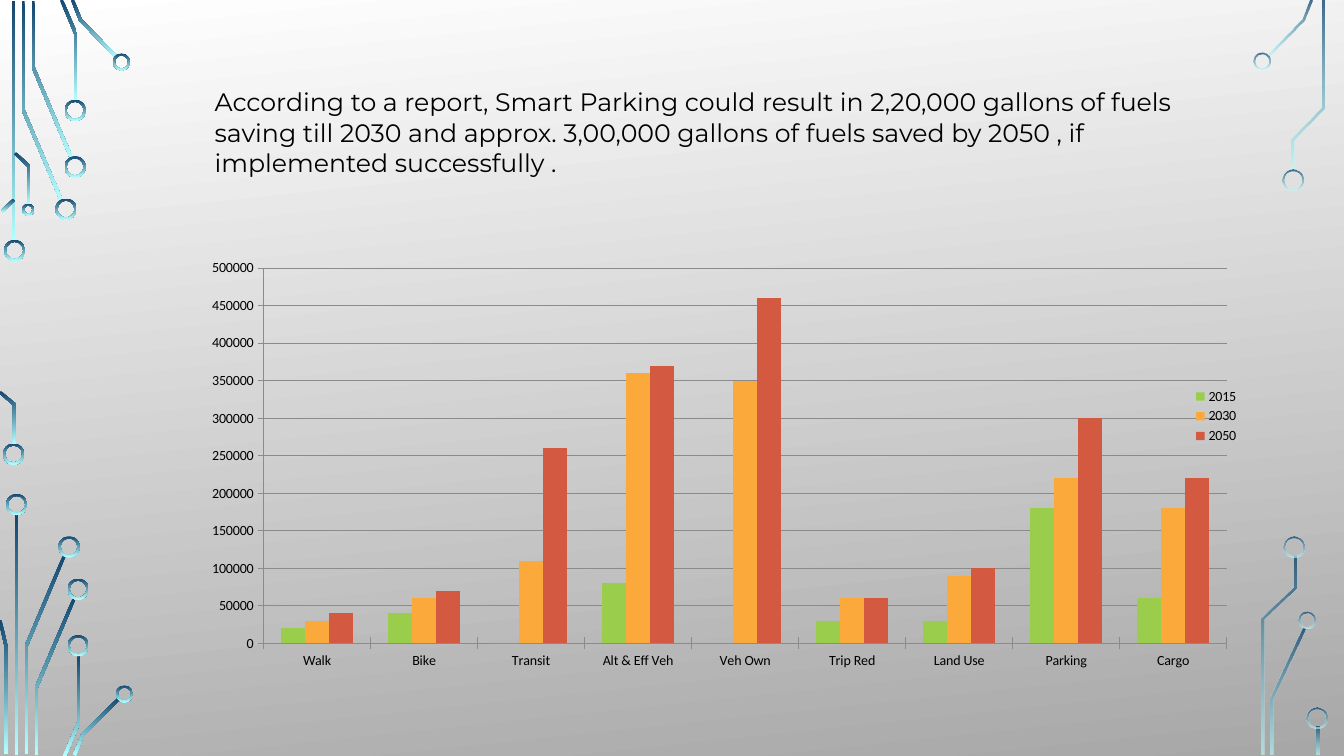
import math

import pptx
import pptx.chart.data
import pptx.dml.color
import pptx.enum.chart
import pptx.enum.shapes
import pptx.oxml
import pptx.oxml.ns
import pptx.util
from lxml import etree

Inches = pptx.util.Inches
Pt = pptx.util.Pt
qn = pptx.oxml.ns.qn

# Content
MESSAGE = ("According to a report, Smart Parking could result in 2,20,000 gallons of fuels "
           "saving till 2030 and approx. 3,00,000 gallons of fuels saved by 2050 , "
           "if implemented successfully .")
CATEGORIES = ["Walk", "Bike", "Transit", "Alt & Eff Veh", "Veh Own",
              "Trip Red", "Land Use", "Parking", "Cargo"]
SERIES = [
    ("2015", "9ACD4C", [20000, 40000, 0, 80000, None, 30000, 30000, 180000, 60000]),
    ("2030", "FAA93A", [30000, 60000, 110000, 360000, 350000, 60000, 90000, 220000, 180000]),
    ("2050", "D35940", [40000, 70000, 260000, 370000, 460000, 60000, 100000, 300000, 220000]),
]
PLOT = {"x": 0.211, "y": 0.225, "w": 0.771, "h": 0.697}

# Circuit decoration: bars (left, top, height), wires (centre lines), rings (left, top, size)
WIRE, RING_WALL = 0.03, 0.02
LEFT_CIRCUIT = {
    "bars": [(0.12, 0.01, 2.39), (0.15, 5.1, 2.39)],
    "wires": [
        [(0.23, 0.01), (0.23, 1.09), (0.61, 1.99)],
        [(0.33, 0.01), (0.33, 0.67), (0.71, 1.57)],
        [(0.61, 0), (0.75, 0.33), (0.75, 1)],
        [(0.72, 0), (0.8, 0.2), (1.16, 0.57)],
        [(0.02, 2.1), (0.14, 1.98)],
        [(0, 3.89), (0.14, 4.01), (0.14, 4.41)],
        [(0.15, 1.52), (0.29, 1.65), (0.29, 2.03)],
        [(0.26, 7.48), (0.26, 6.41), (0.64, 5.51)],
        [(0.06, 7.48), (0.06, 6.41), (0, 6.15)],
        [(0.36, 7.49), (0.36, 6.82), (0.74, 5.93)],
        [(0.64, 7.5), (0.78, 7.17), (0.78, 6.5)],
        [(0.74, 7.49), (0.82, 7.29), (1.18, 6.93)],
    ],
    "rings": [(0.04, 2.38, 0.21), (0.03, 4.4, 0.21), (0.55, 1.97, 0.21),
              (0.64, 1.55, 0.21), (0.64, 0.99, 0.21), (1.12, 0.53, 0.17),
              (0.22, 2.02, 0.12), (0.06, 4.9, 0.21), (0.58, 5.32, 0.21),
              (0.67, 5.74, 0.21), (0.67, 6.3, 0.21), (1.15, 6.8, 0.17)],
}
RIGHT_CIRCUIT = {
    "bars": [(13.06, 7.21, 0.28)],
    "wires": [
        [(12.57, 0.56), (12.92, 0.2), (13, 0)],
        [(12.62, 7.49), (12.62, 6.93), (12.93, 6.23)],
        [(12.82, 1.69), (12.82, 1.38), (13.12, 1.07), (13.12, 0.01)],
        [(12.53, 7.49), (12.53, 6.14), (12.84, 5.83), (12.84, 5.52)],
    ],
    "rings": [(12.43, 0.52, 0.17), (12.72, 1.68, 0.21), (12.88, 6.07, 0.17),
              (12.73, 5.32, 0.21), (12.96, 7.02, 0.21)],
}


def rgb(color):
    return pptx.dml.color.RGBColor.from_string(color)


def set_gradient(fill, colors, angle):
    """Two-colour gradient; the angle runs clockwise."""
    fill.gradient()
    fill.gradient_angle = 360 - angle
    for stop, color, position in zip(fill.gradient_stops, colors, (0, 1)):
        stop.color.rgb = rgb(color)
        stop.position = position


def style_circuit(sp, alphas):
    sp.shadow.inherit = False
    sp.line.fill.background()
    set_gradient(sp.fill, ("134770", "B4FFFF"), 90)
    if alphas:
        for clr, alpha in zip(sp._element.spPr.iter(qn("a:srgbClr")), alphas):
            etree.SubElement(clr, qn("a:alpha")).set("val", str(alpha * 1000))


def wire_outline(points):
    """Both sides of a centre line, with mitred corners."""
    normals = []
    for (x1, y1), (x2, y2) in zip(points, points[1:]):
        length = math.hypot(x2 - x1, y2 - y1)
        normals.append(((y1 - y2) / length, (x2 - x1) / length))
    left, right = [], []
    befores, afters = normals[:1] + normals, normals + normals[-1:]
    for (x, y), (ax, ay), (bx, by) in zip(points, befores, afters):
        scale = WIRE / 2 / (1 + ax * bx + ay * by)
        dx, dy = (ax + bx) * scale, (ay + by) * scale
        left.append((Inches(x + dx), Inches(y + dy)))
        right.append((Inches(x - dx), Inches(y - dy)))
    return left + right[::-1]


def add_circuit(shapes, circuit, alphas=None):
    kinds = pptx.enum.shapes.MSO_SHAPE
    for left, top, height in circuit["bars"]:
        sp = shapes.add_shape(kinds.RECTANGLE, Inches(left), Inches(top),
                              Inches(WIRE), Inches(height))
        style_circuit(sp, alphas)
    for points in circuit["wires"]:
        outline = wire_outline(points)
        builder = shapes.build_freeform(*outline[0])
        builder.add_line_segments(outline[1:], close=True)
        style_circuit(builder.convert_to_shape(), alphas)
    for left, top, size in circuit["rings"]:
        sp = shapes.add_shape(kinds.DONUT, Inches(left), Inches(top),
                              Inches(size), Inches(size))
        sp.adjustments[0] = RING_WALL / size
        style_circuit(sp, alphas)


def add_fuel_chart(shapes):
    enums = pptx.enum.chart
    data = pptx.chart.data.CategoryChartData()
    data.categories = CATEGORIES
    for name, _, values in SERIES:
        data.add_series(name, values)
    chart = shapes.add_chart(enums.XL_CHART_TYPE.COLUMN_CLUSTERED, Inches(0), Inches(1.46),
                             Inches(12.39), Inches(5.34), data).chart
    chart.has_title = False
    chart.font.size = Pt(10)
    chart.font.name = "Calibri"
    chart.font.color.rgb = rgb("000000")
    chart.has_legend = True
    chart.legend.position = enums.XL_LEGEND_POSITION.RIGHT
    chart.legend.include_in_layout = False

    plot = chart.plots[0]
    plot.gap_width, plot.overlap = 150, 0
    plot.vary_by_categories = False
    for series, (_, color, _) in zip(plot.series, SERIES):
        series.invert_if_negative = False
        series.format.fill.solid()
        series.format.fill.fore_color.rgb = rgb(color)

    # Axes
    values = chart.value_axis
    values.minimum_scale, values.maximum_scale, values.major_unit = 0, 500000, 50000
    values.has_major_gridlines = True
    for axis in (chart.category_axis, values):
        axis.major_tick_mark = enums.XL_TICK_MARK.CROSS
        axis.minor_tick_mark = enums.XL_TICK_MARK.NONE
    for part in (chart.category_axis, values, values.major_gridlines):
        part.format.line.color.rgb = rgb("8B8B8B")
        part.format.line.width = Pt(0.75)

    # Fixed inner plot area
    area = chart._chartSpace.chart.plotArea
    for old in area.findall(qn("c:layout")):
        area.remove(old)
    layout = etree.Element(qn("c:layout"))
    manual = etree.SubElement(layout, qn("c:manualLayout"))
    settings = {"layoutTarget": "inner", "xMode": "edge", "yMode": "edge", **PLOT}
    for tag, value in settings.items():
        etree.SubElement(manual, qn("c:" + tag)).set("val", str(value))
    area.insert(0, layout)


def main():
    prs = pptx.Presentation()
    prs.slide_width, prs.slide_height = Inches(13.33), Inches(7.5)
    slide = prs.slides.add_slide(prs.slide_layouts[6])
    set_gradient(slide.background.fill, ("FFFFFF", "A7A7A7"), 84)

    add_circuit(slide.shapes, LEFT_CIRCUIT)
    add_circuit(slide.shapes, RIGHT_CIRCUIT, alphas=(80, 60))
    add_fuel_chart(slide.shapes)

    # Message
    tf = slide.shapes.add_textbox(Inches(2.03), Inches(0.81),
                                  Inches(9.79), Inches(1.01)).text_frame
    tf.word_wrap = True
    tf.text = MESSAGE
    font = tf.paragraphs[0].runs[0].font
    font.name, font.size = "Montserrat", Pt(18)
    font.color.rgb = rgb("000000")

    prs.save("out.pptx")


if __name__ == "__main__":
    main()
